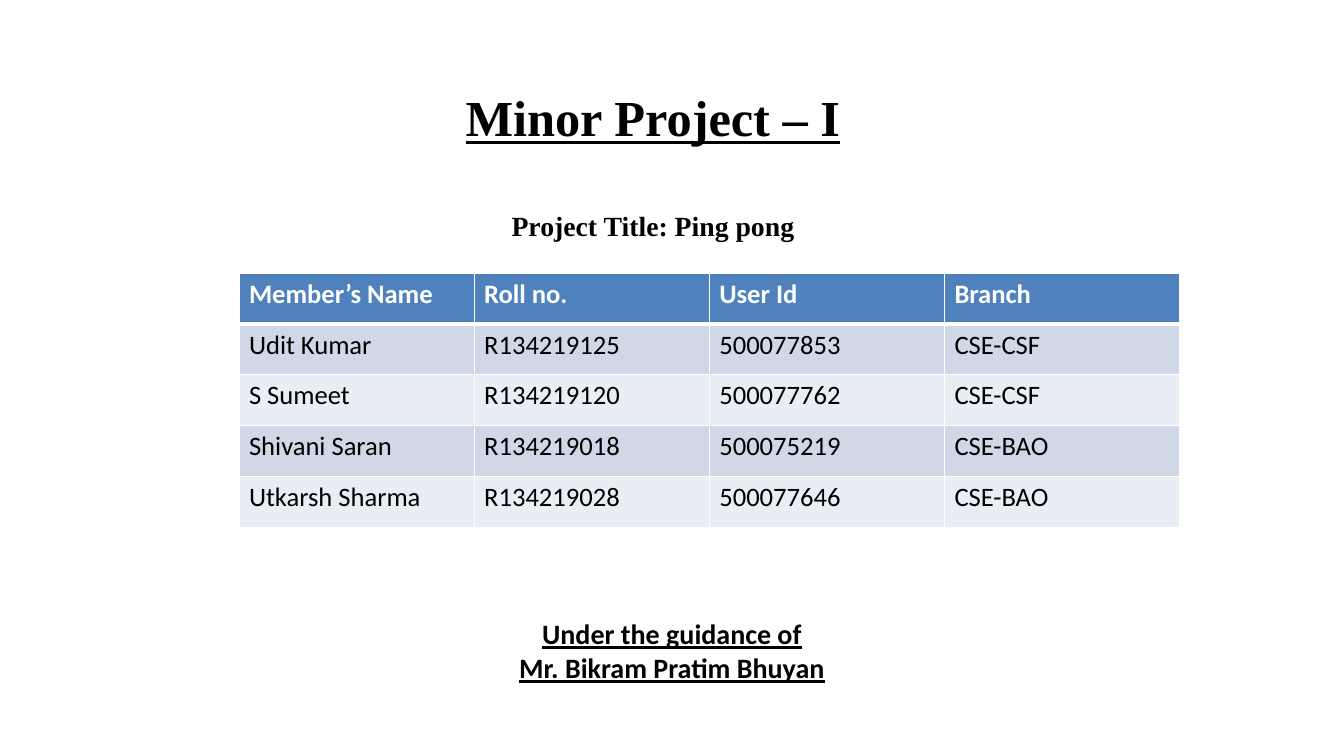
import pptx
import pptx.dml.color
import pptx.enum.text
import pptx.oxml.ns
import pptx.util
import lxml.etree

Inches = pptx.util.Inches
COLORS = {"ink": "000000", "paper": "FFFFFF", "header": "4F81BD", "odd": "D0D8E8", "even": "E9EDF4"}
MEMBERS = [
    ("Member’s Name", "Roll no.", "User Id", "Branch"),
    ("Udit Kumar", "R134219125", "500077853", "CSE-CSF"),
    ("S Sumeet", "R134219120", "500077762", "CSE-CSF"),
    ("Shivani Saran", "R134219018", "500075219", "CSE-BAO"),
    ("Utkarsh Sharma", "R134219028", "500077646", "CSE-BAO"),
]


def rgb(name):
    return pptx.dml.color.RGBColor.from_string(COLORS[name])


def write(paragraph, text, size, font="Calibri", color="ink", bold=False, underline=False,
          center=False, before=0):
    align = pptx.enum.text.PP_ALIGN
    paragraph.alignment = align.CENTER if center else align.LEFT
    if before:
        paragraph.space_before = pptx.util.Pt(before)
    run = paragraph.add_run()
    run.text = text
    run.font.size = pptx.util.Pt(size)
    run.font.name = font
    run.font.bold = bold
    run.font.underline = underline
    run.font.color.rgb = rgb(color)


class CoverSlide:
    """Draws the parts of the project cover on one slide."""

    def __init__(self, slide):
        self.slide = slide

    def text(self, left, top, width, height, lines):
        frame = self.slide.shapes.add_textbox(
            Inches(left), Inches(top), Inches(width), Inches(height)).text_frame
        frame.word_wrap = True
        for index, (line, style) in enumerate(lines):
            paragraph = frame.add_paragraph() if index else frame.paragraphs[0]
            write(paragraph, line, center=True, bold=True, **style)

    def border(self, cell, side, points):
        properties = cell._tc.get_or_add_tcPr()
        qn = pptx.oxml.ns.qn
        line = lxml.etree.SubElement(properties, qn(f"a:ln{side}"), w=str(pptx.util.Pt(points)))
        fill = lxml.etree.SubElement(line, qn("a:solidFill"))
        lxml.etree.SubElement(fill, qn("a:srgbClr"), val=COLORS["paper"])

    def table(self, left, top, width, height, rows):
        members = self.slide.shapes.add_table(
            len(rows), len(rows[0]), Inches(left), Inches(top), Inches(width), Inches(height)).table
        for r, row in enumerate(rows):
            header = r == 0
            band = "header" if header else "odd" if r % 2 else "even"
            for c, value in enumerate(row):
                cell = members.cell(r, c)
                for side in "LRTB":
                    thick = (r, side) in ((0, "B"), (1, "T"))
                    self.border(cell, side, 3 if thick else 1)
                cell.fill.solid()
                cell.fill.fore_color.rgb = rgb(band)
                write(cell.text_frame.paragraphs[0], value, 19, bold=header,
                      color="paper" if header else "ink")


def main():
    deck = pptx.Presentation()
    deck.slide_width, deck.slide_height = Inches(13.33), Inches(7.5)
    cover = CoverSlide(deck.slides.add_slide(deck.slide_layouts[6]))
    serif = "Times New Roman"
    cover.text(0, 0.81, 12.95, 1.61, [
        ("Minor Project – I", dict(size=36, font=serif, underline=True)),
        ("Project Title: Ping pong", dict(size=19.8, font=serif, before=44)),
    ])
    cover.table(2.37, 2.71, 9.33, 2.52, MEMBERS)
    guidance = dict(size=20, underline=True)
    cover.text(3.33, 6.07, 6.67, 0.77, [
        ("Under the guidance of", guidance),
        ("Mr. Bikram Pratim Bhuyan", guidance),
    ])
    deck.save("out.pptx")


if __name__ == "__main__":
    main()
